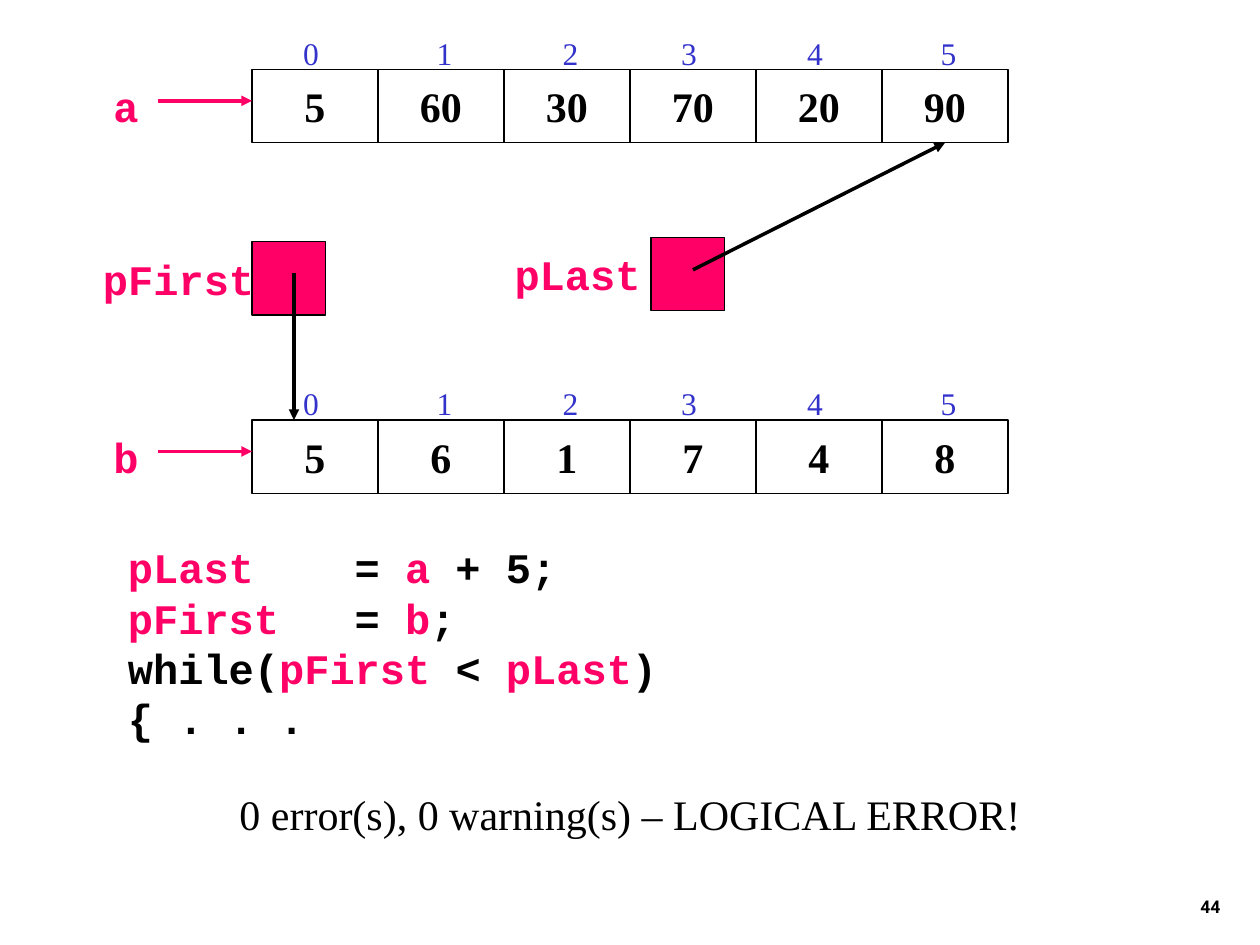
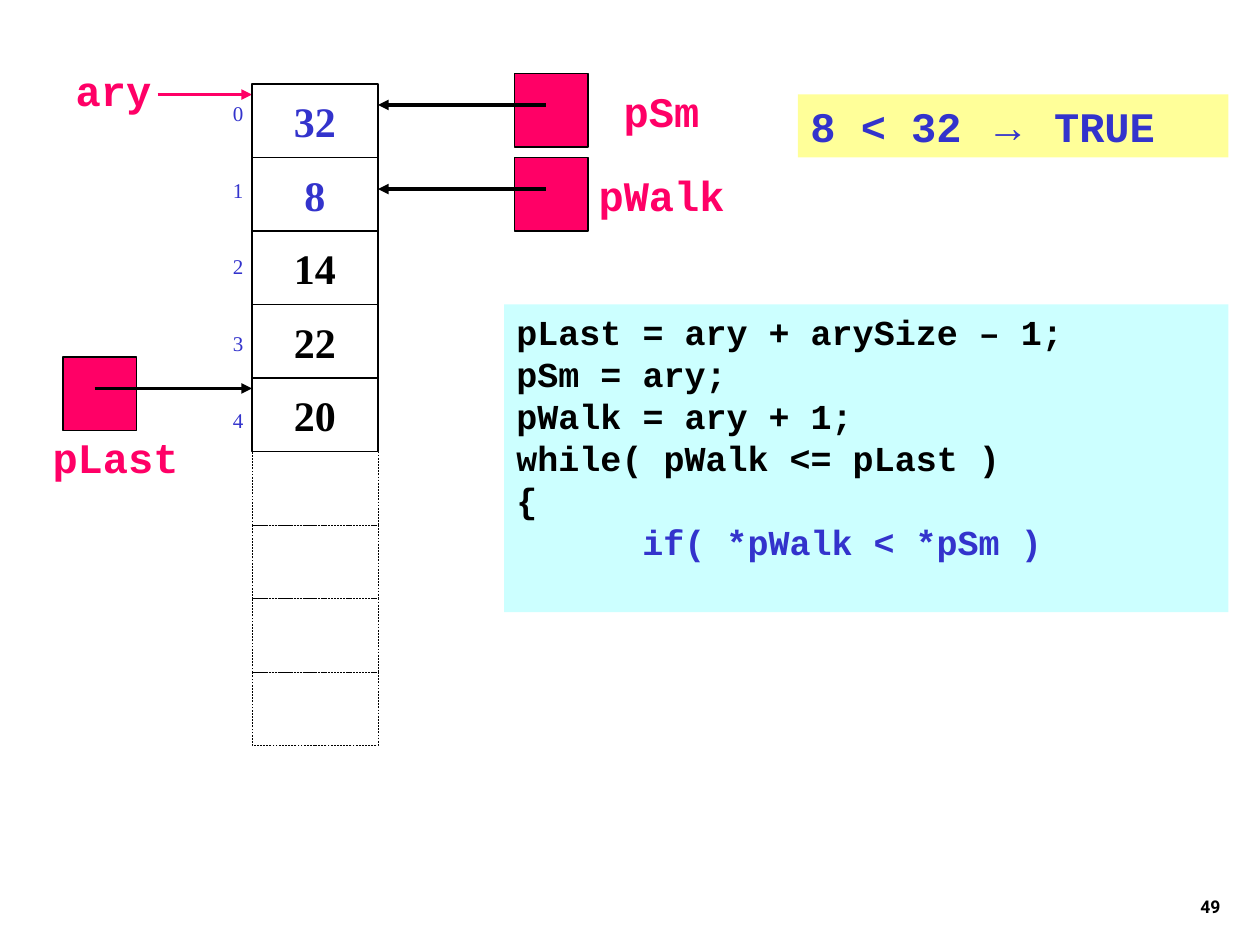
"""Two slides that show arrays in memory and the pointers into them."""
from lxml import etree
from pptx import Presentation
from pptx import util as u
from pptx.dml.color import RGBColor
from pptx.enum import dml, shapes, text
from pptx.oxml import ns

PX = 7620
BLACK = RGBColor(0, 0, 0)
PINK = RGBColor(0xFF, 0, 0x66)
BLUE = RGBColor(0x33, 0x33, 0xCC)
CYAN = RGBColor(0xCC, 0xFF, 0xFF)
YELLOW = RGBColor(0xFF, 0xFF, 0x99)
SERIF, MONO, ARIAL, ROBOTO = "Times New Roman", "Courier New", "Arial", "Roboto"
LEFT, MID, RIGHT = text.PP_ALIGN.LEFT, text.PP_ALIGN.CENTER, text.PP_ALIGN.RIGHT
TOP, CENTRE, BASE = text.MSO_ANCHOR.TOP, text.MSO_ANCHOR.MIDDLE, text.MSO_ANCHOR.BOTTOM
CELL_W, CELL_H, CELL_X = 120, 70, 240
NAME_W = 150

ROWS = [
    ("a", 66, [5, 60, 30, 70, 20, 90]),
    ("b", 400, [5, 6, 1, 7, 4, 8]),
]
INDEX_TABS = [37, 164, 284, 397, 517, 644]
LOOP = [
    [("pLast", PINK), ("\t= ", BLACK), ("a ", PINK), ("+ 5;", BLACK)],
    [("pFirst", PINK), ("\t= ", BLACK), ("b", PINK), (";", BLACK)],
    [("while(", BLACK), ("pFirst ", PINK), ("< ", BLACK), ("pLast", PINK), (")", BLACK)],
    [("{ . . .", BLACK)],
]
RESULT = "0 error(s), 0 warning(s) – LOGICAL ERROR!"

ARY = [(32, BLUE), (8, BLUE), (14, BLACK), (22, BLACK), (20, BLACK)]
ARY_Y, SPARE = 80, 4
SEARCH = [[(line, BLACK)] for line in (
    "pLast = ary + arySize – 1;", "pSm = ary;", "pWalk = ary + 1;",
    "while( pWalk <= pLast )", "{")] + [[("\tif( *pWalk < *pSm )", BLUE)]]
TEST = [[("8 < 32 ", BLUE), ("→", BLUE, ARIAL), (" TRUE", BLUE)]]
POINTERS = [
    ("pLast", (110, 400), (60, 340), 240),
    ("pWalk", (630, 150), (490, 150), 360),
    ("pSm", (630, 70), (490, 70), 360),
]


def write(shape, paras, font=MONO, size=24, bold=True, align=LEFT, anchor=TOP,
          wrap=True, tabs=(), gap=0):
    frame = shape.text_frame
    frame.word_wrap, frame.vertical_anchor = wrap, anchor
    for n, runs in enumerate(paras):
        para = frame.paragraphs[0] if n == 0 else frame.add_paragraph()
        para.alignment = align
        if n and gap:
            para.space_before = u.Pt(gap)
        if tabs:
            stops = etree.SubElement(para._p.get_or_add_pPr(), ns.qn("a:tabLst"))
            for stop in tabs:
                etree.SubElement(stops, ns.qn("a:tab"), pos=str(stop * PX), algn="l")
        for words, color, *face in runs:
            run = para.add_run()
            run.text = words
            run.font.name = face[0] if face else font
            run.font.size, run.font.bold = u.Pt(size), bold
            run.font.color.rgb = color


def note(slide, area, paras, **style):
    box = slide.shapes.add_textbox(*(v * PX for v in area))
    write(box, paras, **style)
    return box


def rect(slide, area, fill=None, line=None, dash=None):
    box = slide.shapes.add_shape(shapes.MSO_SHAPE.RECTANGLE, *(v * PX for v in area))
    box.shadow.inherit = False
    if fill is None:
        box.fill.background()
    else:
        box.fill.solid()
        box.fill.fore_color.rgb = fill
    if line is None:
        box.line.fill.background()
    else:
        box.line.color.rgb, box.line.width = BLACK, u.Pt(line)
    if dash:
        box.line.dash_style = dash
    return box


def cell(slide, x, y, value, color=BLACK):
    box = rect(slide, (x, y, CELL_W, CELL_H), line=0.75)
    write(box, [[(str(value), color)]], font=SERIF, align=MID, anchor=CENTRE, wrap=False)
    return box


def arrow(slide, start, end, color=BLACK):
    link = slide.shapes.add_connector(
        shapes.MSO_CONNECTOR.STRAIGHT, *(v * PX for v in start + end))
    link.line.color.rgb, link.line.width = color, u.Pt(2)
    etree.SubElement(link.line._get_or_add_ln(), ns.qn("a:tailEnd"), type="triangle")
    etree.SubElement(link._element.spPr, ns.qn("a:effectLst"))
    return link


def label(slide, mid, y, name):
    box = note(slide, (mid - NAME_W // 2, y, NAME_W, CELL_H), [[(name, PINK)]],
               align=MID, anchor=CENTRE, wrap=False)
    box.text_frame.margin_left = box.text_frame.margin_right = 0


def pointer(slide, name, at, box):
    label(slide, *at, name)
    rect(slide, (*box, CELL_H, CELL_H), PINK, 0.75)


def page(deck, number):
    slide = deck.slides.add_slide(deck.slide_layouts[6])
    note(slide, (924, 819, 250, 60), [[(number, BLACK)]],
         font=ROBOTO, size=10, align=RIGHT, anchor=BASE)
    return slide


def arrays(deck):
    slide = page(deck, "44")
    note(slide, (0, 700, 1200, 150), [[(RESULT, BLACK)]], font=SERIF, bold=False,
         align=MID, anchor=CENTRE, wrap=False)
    grid = {}
    for name, y, values in ROWS:
        grid[name] = [cell(slide, CELL_X + n * CELL_W, y, v) for n, v in enumerate(values)]
        marks = "".join(f"\t{n}" for n in range(len(values)))
        note(slide, (CELL_X, y - 51, 720, CELL_H), [[(marks, BLUE)]], font=SERIF,
             size=18, bold=False, anchor=CENTRE, tabs=INDEX_TABS)
        label(slide, 120, y, name)
        arrow(slide, (150, y + 30), (CELL_X, y + 30), PINK)
    note(slide, (110, 510, 990, 204), LOOP, tabs=[216])
    pointer(slide, "pLast", (550, 226), (620, 226))
    arrow(slide, (660, 257), (900, 136)).end_connect(grid["a"][5], 2)
    pointer(slide, "pFirst", (170, 230), (240, 230))
    arrow(slide, (280, 260), (280, 400))


def search(deck):
    slide = page(deck, "49")
    arrow(slide, (150, 90), (CELL_X, 90), PINK)
    for n, (value, color) in enumerate(ARY):
        cell(slide, CELL_X, ARY_Y + n * CELL_H, value, color)
    note(slide, (210, 90, 50, 329), [[(str(n), BLUE)] for n in range(len(ARY))],
         font=SERIF, size=12, bold=False, gap=29.4)
    write(rect(slide, (480, 290, 690, 293), CYAN), SEARCH, size=20, tabs=[120])
    for name, at, box, tip in POINTERS:
        pointer(slide, name, at, box)
        x, y = box
        arrow(slide, (x + 30, y + 30), (tip, y + 30))
    write(rect(slide, (760, 90, 410, 60), YELLOW), TEST)
    label(slide, 108, 50, "ary")
    for n in range(len(ARY), len(ARY) + SPARE):
        rect(slide, (CELL_X, ARY_Y + n * CELL_H, CELL_W, CELL_H),
             line=0.25, dash=dml.MSO_LINE.DASH)


def main():
    deck = Presentation()
    deck.slide_width, deck.slide_height = 1200 * PX, 900 * PX
    arrays(deck)
    search(deck)
    deck.save("out.pptx")


if __name__ == "__main__":
    main()
